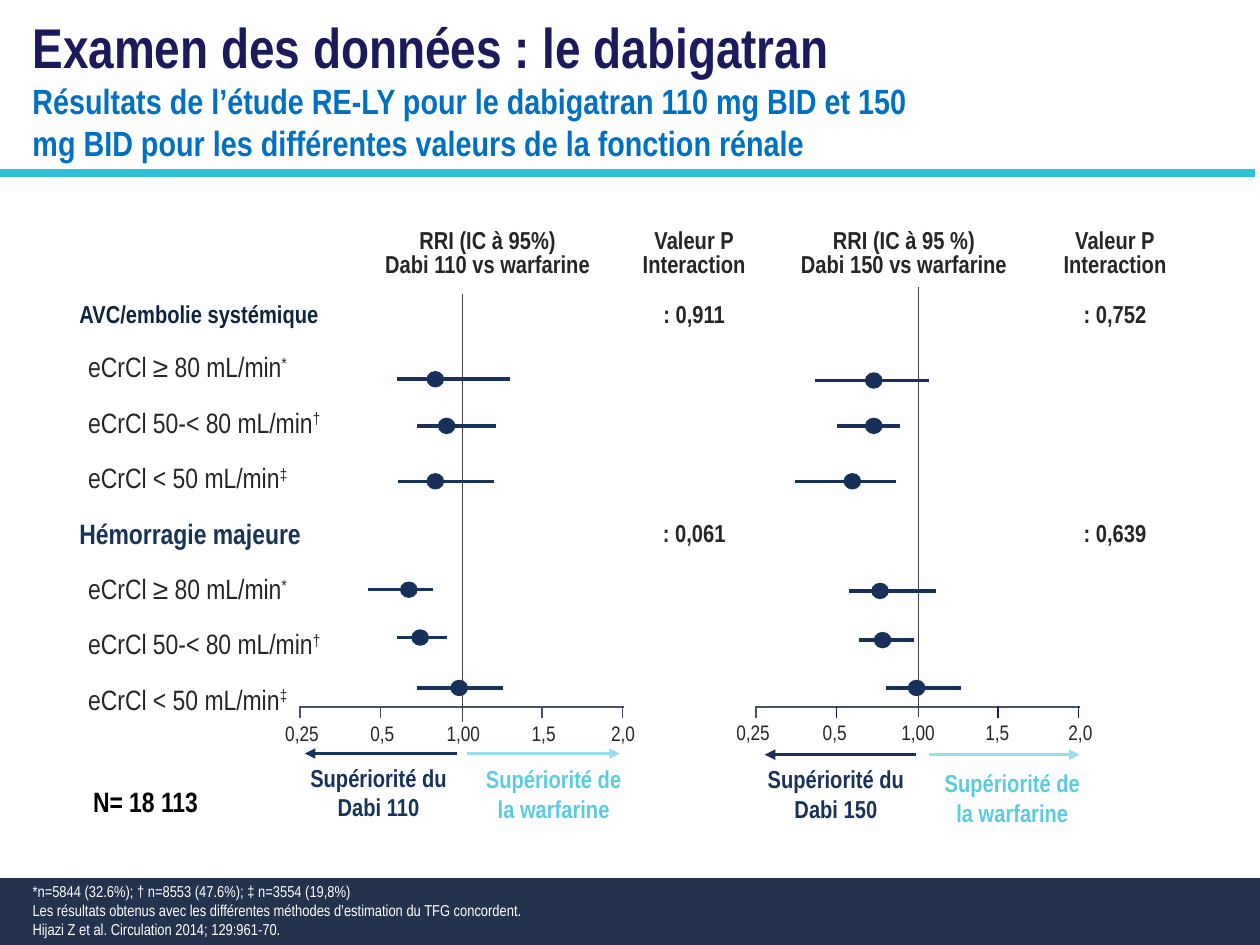
from dataclasses import dataclass

from lxml.etree import SubElement
from pptx import Presentation
from pptx.dml.color import RGBColor
from pptx.enum.shapes import MSO_CONNECTOR, MSO_SHAPE
from pptx.enum.text import MSO_ANCHOR, PP_ALIGN
from pptx.oxml.ns import qn
from pptx.util import Inches, Pt

FONT = "Arial Narrow"
NAVY, DEEP, INK, SLATE = "19325C", "183059", "262626", "44546A"
INDIGO, AQUA, PALE = "1B1A5A", "5BCCDF", "99DFEB"
LEFT, MID, RIGHT = PP_ALIGN.LEFT, PP_ALIGN.CENTER, PP_ALIGN.RIGHT


@dataclass
class Study:
    """One interval: its ends, its height and the left edge of its dot."""
    low: float
    high: float
    y: float
    dot: float


@dataclass
class Panel:
    """One forest plot with its axis and the labels below."""
    dose: str
    axis: float
    unit: float
    top: float
    foot: float
    tone: str
    ticks: list[str]
    tags: list[float]
    tag_y: float
    arrows: list[tuple[float, float]]
    arrow_y: float
    boxes: list[tuple[float, float]]
    rows: list[Study]


def hue(code: str) -> RGBColor:
    return RGBColor.from_string(code)


def write(frame, text: str, size: float = 14, color: str = INK, bold: bool = False,
          align=LEFT, space: float | None = None, sup: str = "", first: bool = True) -> None:
    """Write one paragraph per line of text, with an optional superscript."""
    for i, part in enumerate(text.split("\n")):
        para = frame.paragraphs[0] if first and i == 0 else frame.add_paragraph()
        para.alignment = align
        if space:
            para.line_spacing = space
        for word, raised in ((part, False), (sup, True)):
            if not word:
                continue
            run = para.add_run()
            run.text = word
            font = run.font
            font.name, font.size, font.bold = FONT, Pt(size), bold
            font.color.rgb = hue(color)
            if raised:
                font._element.set("baseline", "30000")


def pad(frame, x: float, y: float) -> None:
    frame.margin_left = frame.margin_right = Inches(x)
    frame.margin_top = frame.margin_bottom = Inches(y)


def box(slide, x: float, y: float, w: float, h: float, wrap: bool = True):
    frame = slide.shapes.add_textbox(Inches(x), Inches(y), Inches(w), Inches(h)).text_frame
    frame.word_wrap = wrap
    return frame


def shape(slide, kind, x: float, y: float, w: float, h: float,
          fill: str | None = None, edge: str | None = None):
    item = slide.shapes.add_shape(kind, Inches(x), Inches(y), Inches(w), Inches(h))
    item.shadow.inherit = False
    if fill:
        item.fill.solid()
        item.fill.fore_color.rgb = hue(fill)
    else:
        item.fill.background()
    if edge:
        item.line.color.rgb = hue(edge)
        item.line.width = Pt(0.75)
    else:
        item.line.fill.background()
    return item


def line(slide, x1: float, y1: float, x2: float, y2: float, color: str,
         width: float = 1, arrow: bool = False) -> None:
    item = slide.shapes.add_connector(
        MSO_CONNECTOR.STRAIGHT, Inches(x1), Inches(y1), Inches(x2), Inches(y2))
    item.line.color.rgb = hue(color)
    item.line.width = Pt(width)
    if arrow:
        SubElement(item.line._get_or_add_ln(), qn("a:tailEnd"), type="triangle")
    SubElement(item._element.spPr, qn("a:effectLst"))


def grid(slide) -> None:
    """Table of outcomes, renal groups and P values."""
    cols = [2.26, 2.16, 1.12, 2.21, 1.14]
    rows = [0.51, 0.39] + [0.44] * 7
    table = slide.shapes.add_table(len(rows), len(cols), Inches(0.53), Inches(1.77),
                                   Inches(sum(cols)), Inches(sum(rows))).table
    table.first_row = table.horz_banding = False
    for col, w in zip(table.columns, cols):
        col.width = Inches(w)
    for row, h in zip(table.rows, rows):
        row.height = Inches(h)
    for cell in table.iter_cells():
        cell.fill.background()
        cell.vertical_anchor = MSO_ANCHOR.MIDDLE
        pad(cell, 0.1, 0.02)

    heads = ["RRI (IC à 95%)\nDabi 110 vs warfarine", "Valeur P\nInteraction",
             "RRI (IC à 95 %)\nDabi 150 vs warfarine", "Valeur P\nInteraction"]
    for c, head in enumerate(heads, 1):
        write(table.cell(0, c).text_frame, head, bold=True, align=MID)

    groups = [("eCrCl ≥ 80 mL/min", "*"), ("eCrCl 50-< 80 mL/min", "†"),
              ("eCrCl < 50 mL/min", "‡")]
    blocks = [(1, "AVC/embolie systémique", 14, "0F243E", (": 0,911", ": 0,752")),
              (5, "Hémorragie majeure", 16, NAVY, (": 0,061", ": 0,639"))]
    for top, name, size, color, values in blocks:
        write(table.cell(top, 0).text_frame, name, size=size, color=color, bold=True, space=1.5)
        for c, value in zip((2, 4), values):
            write(table.cell(top, c).text_frame, value, bold=True, align=MID, space=1.5)
        for r, (group, mark) in enumerate(groups, top + 1):
            frame = table.cell(r, 0).text_frame
            write(frame, group, size=16, space=1.5, sup=mark)
            frame.paragraphs[0]._p.get_or_add_pPr().set("marL", str(Inches(0.07)))


def plot(slide, p: Panel) -> None:
    # Axis, ticks and tick labels
    line(slide, p.axis, 5.61, p.axis + 2.57, 5.61, SLATE)
    for i, tone in enumerate(p.ticks):
        if i != 2:
            x = p.axis + i * p.unit
            line(slide, x, 5.7, x, 5.6, tone)
    for x, name in zip(p.tags, ["0,25", "0,5", "1,00", "1,5", "2,0"]):
        frame = box(slide, x, p.tag_y, 0.27 if len(name) > 3 else 0.19, 0.18, wrap=False)
        pad(frame, 0, 0)
        write(frame, name, size=12, align=RIGHT, space=0.9)

    # Direction arrows and their labels
    names = [f"Supériorité du Dabi {p.dose}", "Supériorité de la warfarine"]
    for (x1, x2), (x, y), name, shaft, ink in zip(
            p.arrows, p.boxes, names, (NAVY, PALE), (NAVY, AQUA)):
        line(slide, x1, p.arrow_y, x2, p.arrow_y, shaft, 2, arrow=True)
        frame = shape(slide, MSO_SHAPE.ROUNDED_RECTANGLE, x, y, 1.27, 0.56).text_frame
        frame.word_wrap = True
        frame.vertical_anchor = MSO_ANCHOR.MIDDLE
        pad(frame, 0, 0.05)
        write(frame, name, color=ink, bold=True, align=MID)

    # Reference line and intervals
    mid = p.axis + 2 * p.unit + 0.01
    line(slide, mid, p.foot, mid, p.top, "404040")
    for s in p.rows:
        line(slide, s.low, s.y, s.high, s.y, p.tone, 2)
        shape(slide, MSO_SHAPE.OVAL, s.dot, s.y - 0.06, 0.13, 0.12, DEEP, p.tone)


PANELS = [
    Panel("110", 2.38, 0.64, 2.33, 5.73, NAVY, [SLATE] * 5,
          [2.26, 2.94, 3.54, 4.22, 4.85], 5.74, [(3.63, 2.42), (3.71, 4.92)], 5.98,
          [(2.37, 6.01), (3.76, 6.02)],
          [Study(3.15, 4.05, 3.01, 3.39), Study(3.31, 3.94, 3.38, 3.48),
           Study(3.16, 3.92, 3.82, 3.39), Study(2.92, 3.44, 4.68, 3.18),
           Study(3.15, 3.55, 5.06, 3.27), Study(3.31, 3.99, 5.46, 3.58)]),
    Panel("150", 6, 0.64, 2.28, 5.69, DEEP, [SLATE] + [INDIGO] * 4,
          [5.84, 6.53, 7.15, 7.82, 8.48], 5.73, [(7.27, 6.07), (7.37, 8.57)], 5.99,
          [(6, 6.02), (7.4, 6.05)],
          [Study(6.47, 7.37, 3.02, 6.87), Study(6.64, 7.14, 3.38, 6.87),
           Study(6.31, 7.11, 3.82, 6.7), Study(6.74, 7.43, 4.69, 6.92),
           Study(6.82, 7.25, 5.08, 6.94), Study(7.03, 7.63, 5.46, 7.21)]),
]


def main() -> None:
    deck = Presentation()
    deck.slide_width, deck.slide_height = Inches(10), Inches(7.5)
    slide = deck.slides.add_slide(deck.slide_layouts[6])

    # Footer band and title
    shape(slide, MSO_SHAPE.RECTANGLE, 0, 6.97, 10, 0.53, "23334E")
    frame = box(slide, 0.16, 0.05, 7.16, 1.31)
    write(frame, "Examen des données : le dabigatran", size=32, color=INDIGO, bold=True)
    write(frame, "Résultats de l’étude RE-LY pour le dabigatran 110 mg BID et 150 mg BID "
          "pour les différentes valeurs de la fonction rénale",
          size=20, color="0070C0", bold=True, first=False)
    line(slide, -0.04, 1.37, 9.96, 1.37, "30C1D7", 4.5)

    # Table and forest plots
    grid(slide)
    for panel in PANELS:
        plot(slide, panel)

    # Sample size and notes
    write(box(slide, 0.64, 6.18, 1.04, 0.37, wrap=False), "N= 18 113",
          size=16, color="000000", bold=True)
    write(box(slide, 0.16, 6.95, 4.75, 0.55),
          "*n=5844 (32.6%); † n=8553 (47.6%); ‡ n=3554 (19,8%)\n"
          "Les résultats obtenus avec les différentes méthodes d’estimation du TFG concordent.\n"
          "Hijazi Z et al. Circulation 2014; 129:961-70.", size=9, color="FFFFFF")
    deck.save("out.pptx")


if __name__ == "__main__":
    main()
